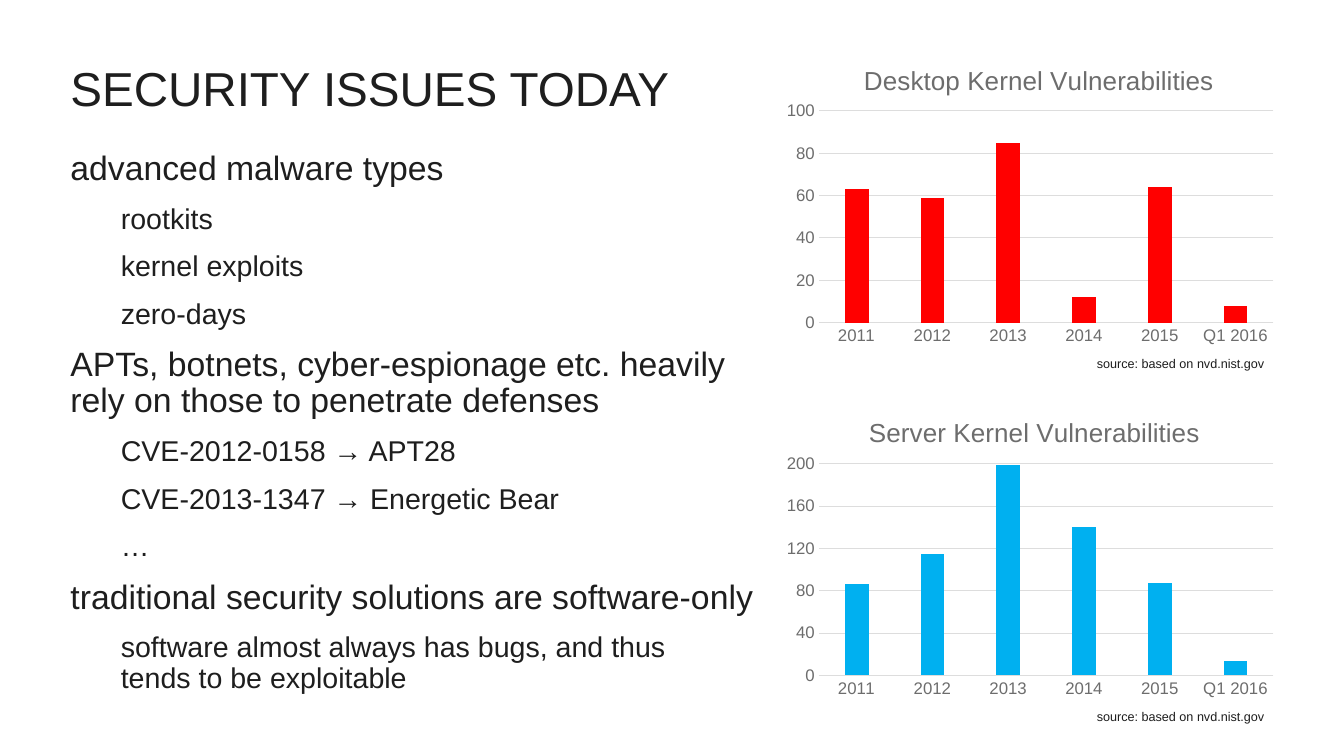
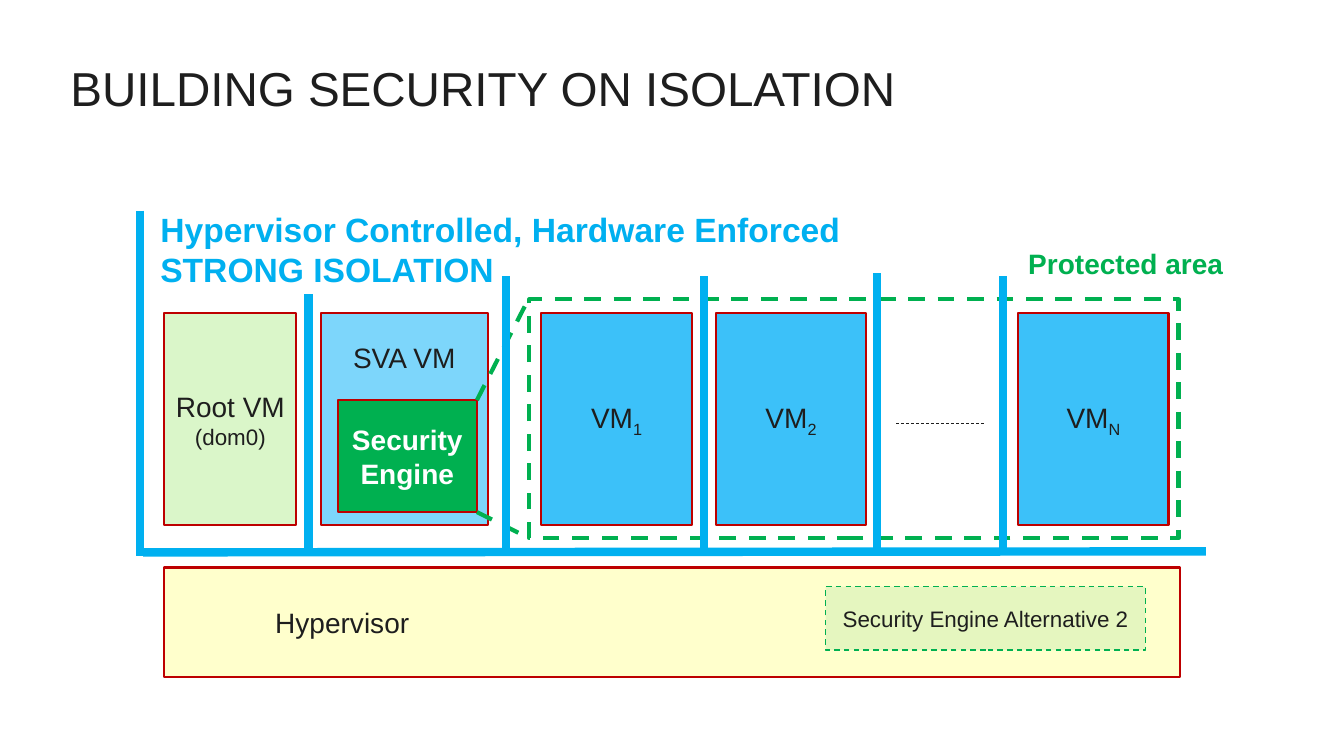
from lxml import etree
from pptx import Presentation
from pptx.chart.data import CategoryChartData
from pptx.dml.color import RGBColor
from pptx.enum.chart import XL_CHART_TYPE as ChartType, XL_TICK_MARK as TickMark
from pptx.enum.dml import MSO_LINE_DASH_STYLE as Dash
from pptx.enum.shapes import MSO_CONNECTOR as Connector, MSO_SHAPE as Preset
from pptx.enum.text import MSO_ANCHOR as Anchor, PP_ALIGN as Align
from pptx.oxml import parse_xml
from pptx.oxml.ns import nsdecls, qn
from pptx.util import Pt

FONT = "Arial"
INK, WHITE, GREY, GRID = "1E1E1E", "FFFFFF", "6D6D6D", "DDDDDD"
RED, GREEN, BLUE, BORDER = "FF0000", "00B050", "00B0F0", "BD0000"


def px(length):
    """Turn px, 100 to the inch, into EMU."""
    return int(length * 9144)


def color(hex_string):
    return RGBColor.from_string(hex_string)


def style_font(font, size, ink=INK, bold=False):
    font.name, font.size, font.bold = FONT, Pt(size), bold
    font.color.rgb = color(ink)


def style_line(line, ink, width, dashed=False):
    line.color.rgb = color(ink)
    line.width = Pt(width)
    if dashed:
        line.dash_style = Dash.DASH


def add_run(paragraph, text, size, ink=INK, bold=False, subscript=False):
    run = paragraph.add_run()
    run.text = text
    style_font(run.font, size, ink, bold)
    if subscript:
        run.font._element.set("baseline", "-25000")


def write_lines(paragraph, lines, size, ink=INK, bold=False):
    for number, line in enumerate(lines):
        if number:
            paragraph.add_line_break()
        add_run(paragraph, line, size, ink, bold)


def set_frame(shape, anchor=Anchor.TOP, side=10, wrap=True):
    frame = shape.text_frame
    frame.word_wrap = wrap
    frame.vertical_anchor = anchor
    frame.margin_left = frame.margin_right = px(side)
    frame.margin_top = frame.margin_bottom = px(5)
    return frame


def add_text(slide, box, lines, size, ink=INK, bold=False, align=Align.LEFT,
             anchor=Anchor.TOP, side=10, wrap=True):
    frame = set_frame(slide.shapes.add_textbox(*map(px, box)), anchor, side, wrap)
    paragraph = frame.paragraphs[0]
    paragraph.alignment = align
    write_lines(paragraph, lines, size, ink, bold)
    return paragraph


def add_box(slide, box, fill, border=BORDER, width=1.5, dashed=False, side=10):
    """Add a rectangle with middle-anchored, centred text; return it and its paragraph."""
    shape = slide.shapes.add_shape(Preset.RECTANGLE, *map(px, box))
    shape.shadow.inherit = False
    shape.fill.solid()
    shape.fill.fore_color.rgb = color(fill)
    style_line(shape.line, border, width, dashed)
    paragraph = set_frame(shape, Anchor.MIDDLE, side).paragraphs[0]
    paragraph.alignment = Align.CENTER
    return shape, paragraph


def add_line(slide, start, end, ink, width, dashed=False):
    connector = slide.shapes.add_connector(
        Connector.STRAIGHT, *map(px, (*start, *end)))
    style_line(connector.line, ink, width, dashed)
    etree.SubElement(connector._element.spPr, qn("a:effectLst"))


def add_titled_slide(presentation, title):
    slide = presentation.slides.add_slide(presentation.slide_layouts[6])
    add_text(slide, (60, 60, 862, 112), [title], 34).line_spacing = 0.9
    return slide


def add_outline(slide, box, items):
    """Write (level, lines) items as an indented outline."""
    frame = set_frame(slide.shapes.add_textbox(*map(px, box)))
    for number, (level, lines) in enumerate(items):
        paragraph = frame.add_paragraph() if number else frame.paragraphs[0]
        paragraph.line_spacing = 0.9
        paragraph.space_after = Pt(12)
        paragraph._p.get_or_add_pPr().set("marL", str(px(50 * level)))
        write_lines(paragraph, lines, 20.4 if level else 24.1)


def set_layout(element, **places):
    """Place a chart title or plot area by fractions of the chart."""
    for old in element.findall(qn("c:layout")):
        element.remove(old)
    target = '<c:layoutTarget val="inner"/>' if "w" in places else ""
    modes = "".join(f'<c:{key}Mode val="edge"/>' for key in "xy")
    values = "".join(f'<c:{key} val="{value}"/>' for key, value in places.items())
    layout = parse_xml(f'<c:layout {nsdecls("c")}><c:manualLayout>{target}{modes}{values}'
                       '</c:manualLayout></c:layout>')
    text = element.find(qn("c:tx"))
    if text is None:
        element.insert(0, layout)
    else:
        text.addnext(layout)


def add_column_chart(slide, box, title, title_x, values, fill, step):
    left, top, width, height = box
    data = CategoryChartData()
    data.categories = ["2011", "2012", "2013", "2014", "2015", "Q1 2016"]
    data.add_series("Series 1", values)
    chart = slide.shapes.add_chart(
        ChartType.COLUMN_CLUSTERED, *map(px, box), data).chart
    style_font(chart.font, 10)
    chart.has_legend = False
    chart.has_title = True
    add_run(chart.chart_title.text_frame.paragraphs[0], title, 18.6, GREY)
    set_layout(chart.chart_title._element, x=title_x, y=0.06)
    set_layout(chart._chartSpace.chart.plotArea, x=0.08, y=0.23, w=0.9, h=0.68)

    plot = chart.plots[0]
    plot.gap_width, plot.overlap = 219, -27
    plot.vary_by_categories = False
    series_fill = plot.series[0].format.fill
    series_fill.solid()
    series_fill.fore_color.rgb = color(fill)

    for axis in (chart.category_axis, chart.value_axis):
        axis.major_tick_mark = axis.minor_tick_mark = TickMark.NONE
        style_font(axis.tick_labels.font, 12, GREY)
    style_line(chart.category_axis.format.line, GRID, 0.75)
    value_axis = chart.value_axis
    value_axis.minimum_scale, value_axis.maximum_scale = 0, 5 * step
    value_axis.major_unit = step
    value_axis.format.line.fill.background()
    style_line(value_axis.major_gridlines.format.line, GRID, 0.75)

    add_text(slide, (left + 306, top + height, 188, 25),
             ["source: based on nvd.nist.gov"], 9, wrap=False)


def build_issues_slide(presentation):
    slide = add_titled_slide(presentation, "SECURITY ISSUES TODAY")
    add_outline(slide, (60, 145, 698, 545), [
        (0, ["advanced malware types"]),
        (1, ["rootkits"]),
        (1, ["kernel exploits"]),
        (1, ["zero-days"]),
        (0, ["APTs, botnets, cyber-espionage etc. heavily rely on those "
             "to penetrate defenses"]),
        (1, ["CVE-2012-0158 → APT28"]),
        (1, ["CVE-2013-1347 → Energetic Bear"]),
        (1, ["…"]),
        (0, ["traditional security solutions are software-only"]),
        (1, ["software almost always has bugs, and thus",
             "tends to be exploitable"]),
    ])
    charts = [
        ("Desktop Kernel Vulnerabilities", 0.16, (63, 59, 85, 12, 64, 8), RED, 20),
        ("Server Kernel Vulnerabilities", 0.17, (86, 115, 199, 140, 87, 14), BLUE, 40),
    ]
    for row, chart in enumerate(charts):
        add_column_chart(slide, (772, 39 + 350 * row, 501, 309), *chart)


def add_machines(slide, top, height):
    """Add the row of virtual machines, with the security engine in its own."""
    _, paragraph = add_box(slide, (163, top, 131, height), "DAF6C9")
    add_run(paragraph, "Root VM", 20)
    paragraph.add_line_break()
    add_run(paragraph, "(dom0)", 16)

    appliance, paragraph = add_box(slide, (318, top, 166, height), "7DD6FB")
    appliance.text_frame.vertical_anchor = Anchor.TOP
    appliance.text_frame.margin_top = px(27)
    add_run(paragraph, "SVA VM", 20)

    _, paragraph = add_box(slide, (335, top + 86, 138, 111), GREEN, side=0)
    write_lines(paragraph, ["Security", "Engine"], 20, WHITE, True)

    for left, index in ((537, "1"), (710, "2"), (1010, "N")):
        _, paragraph = add_box(slide, (left, top, 149, height), "3CC1F9")
        add_run(paragraph, "VM", 20)
        add_run(paragraph, index, 20, subscript=True)
    add_line(slide, (889, top + 109), (977, top + 109), INK, 0.5, True)


def add_isolation(slide, floor):
    """Add the walls between machines, the floor below them and the label."""
    add_line(slide, (142, floor), (1196, floor - 1), BLUE, 6)
    walls = ((306, 292), (502, 274), (698, 274), (870, 271), (995, 274))
    for x, top in walls:
        add_line(slide, (x, floor), (x, top), BLUE, 6)
    add_line(slide, (139, 209), (139, floor + 4), BLUE, 6)
    add_text(slide, (159, 198, 732, 98),
             ["Hypervisor Controlled, Hardware Enforced", "STRONG ISOLATION"],
             24, BLUE, True, anchor=Anchor.MIDDLE, side=0)


def add_hypervisor(slide, left, top):
    shape, paragraph = add_box(slide, (left, top, 1007, 109), "FFFFCC")
    shape.text_frame.margin_left = px(110)
    paragraph.alignment = Align.LEFT
    add_run(paragraph, "Hypervisor", 20)

    engine, paragraph = add_box(slide, (left + 656, top + 19, 317, 63), GREEN,
                                GREEN, 1, True, side=0)
    fill_color = engine._element.spPr.find(qn("a:solidFill"))[0]
    etree.SubElement(fill_color, qn("a:alpha")).set("val", "10000")
    add_run(paragraph, "Security Engine Alternative 2", 16)


def build_isolation_slide(presentation):
    slide = add_titled_slide(presentation, "BUILDING SECURITY ON ISOLATION")
    add_box(slide, (525, 297, 644, 237), WHITE, GREEN, 3, True)
    add_machines(slide, 311, 210)
    for start, end in (((473, 397), (525, 295)), ((473, 508), (525, 534))):
        add_line(slide, start, end, GREEN, 3, True)
    add_text(slide, (798, 240, 425, 44), ["Protected area"], 20, GREEN, True,
             Align.RIGHT)
    add_isolation(slide, 548)
    add_hypervisor(slide, 163, 563)


def main():
    presentation = Presentation()
    presentation.slide_width, presentation.slide_height = px(1333), px(750)
    build_issues_slide(presentation)
    build_isolation_slide(presentation)
    presentation.save("out.pptx")


if __name__ == "__main__":
    main()
